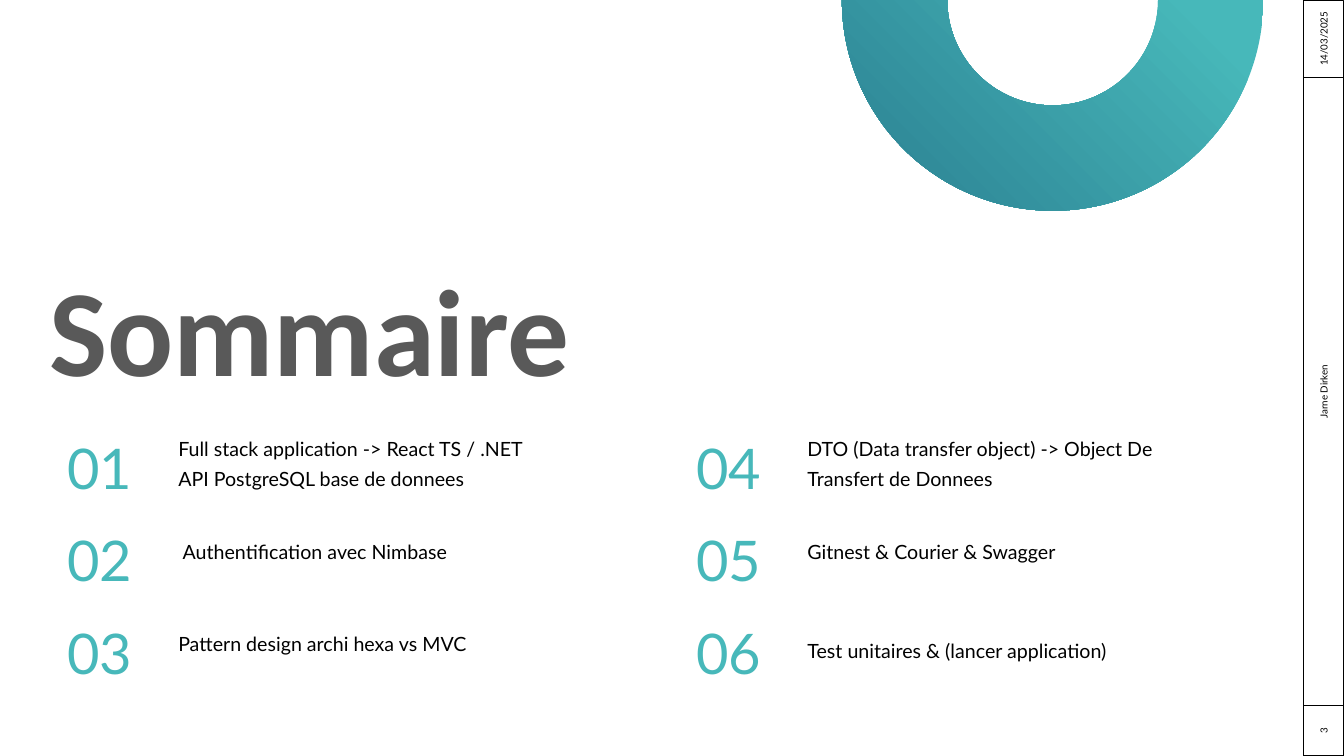
from pptx import Presentation
from pptx.dml.color import RGBColor
from pptx.enum.shapes import MSO_SHAPE
from pptx.enum.text import MSO_ANCHOR, MSO_AUTO_SIZE, PP_ALIGN
from pptx.util import Inches, Pt

BLOCK_ARC, RECTANGLE = MSO_SHAPE.BLOCK_ARC, MSO_SHAPE.RECTANGLE
TOP, MIDDLE = MSO_ANCHOR.TOP, MSO_ANCHOR.MIDDLE
LEFT, CENTER = PP_ALIGN.LEFT, PP_ALIGN.CENTER

TEAL = RGBColor(0x47, 0xB8, 0xBA)
DEEP_TEAL = RGBColor(0x2B, 0x7F, 0x91)
GREY = RGBColor(0x59, 0x59, 0x59)
BLACK = RGBColor(0, 0, 0)

SLIDE_WIDTH, SLIDE_HEIGHT = 13.33, 7.5
TITLE_ONLY = 5

# Text, height of its box, and drop of the box below the top of its row
ENTRIES = [
    ("Full stack application -> React TS / .NET API PostgreSQL base de donnees", 0.65, 0.15),
    (" Authentification avec Nimbase", 0.34, 0.25),
    ("Pattern design archi hexa vs MVC", 0.34, 0.25),
    ("DTO (Data transfer object) -> Object De Transfert de Donnees", 0.65, 0.15),
    ("Gitnest & Courier & Swagger", 0.34, 0.25),
    ("Test unitaires & (lancer application)", 0.34, 0.32),
]
ROWS = 3
SIDEBAR_CELLS = [("14/03/2025", 0.77), ("Jarne Dirken", 6.23), ("3", 0.5)]


def inches(*lengths):
    return [Inches(length) for length in lengths]


def write(shape, text, size, font, color, align=LEFT, anchor=MIDDLE,
          margins=(0, 0, 0, 0), spacing=1.0, bold=False):
    """Fill the shape with one formatted paragraph; margins run left, top, right, bottom."""
    frame = shape.text_frame
    frame.text = text
    frame.word_wrap = True
    frame.auto_size = MSO_AUTO_SIZE.NONE
    frame.vertical_anchor = anchor
    (frame.margin_left, frame.margin_top,
     frame.margin_right, frame.margin_bottom) = inches(*margins)
    para = frame.paragraphs[0]
    para.alignment = align
    para.line_spacing = spacing
    para.space_before = Pt(0)
    for span in para.runs:
        span.font.size = Pt(size)
        span.font.name = font
        span.font.bold = bold
        span.font.color.rgb = color


def add_half_ring(page, left, center_y, diameter):
    ring = page.shapes.add_shape(
        BLOCK_ARC, *inches(left, center_y - diameter / 2, diameter, diameter))
    ring.rotation = 180
    ring.shadow.inherit = False
    ring.line.fill.background()
    ring.fill.gradient()
    ring.fill.gradient_angle = 45
    for stop, color, position in zip(
            ring.fill.gradient_stops, (TEAL, DEEP_TEAL), (0.34, 0.99)):
        stop.color.rgb = color
        stop.position = position


def add_title(page, left, top, width, height):
    title = page.shapes.title
    title.left, title.top, title.width, title.height = inches(left, top, width, height)
    write(title, "Sommaire", 88, "Calibri", GREY, spacing=0.9, bold=True)


def add_contents(page, left, top, column_step, row_step):
    """Number the entries down each column, with the text right of its number."""
    for index, (text, height, drop) in enumerate(ENTRIES):
        column, row = divmod(index, ROWS)
        x = left + column * column_step
        y = top + row * row_step
        number = page.shapes.add_textbox(*inches(x, y, 1.02, 0.81))
        write(number, f"{index + 1:02d}", 40, "Lato", TEAL, CENTER, TOP, spacing=1.28)
        label = page.shapes.add_textbox(*inches(x + 1.19, y + drop, 3.96, height))
        write(label, text, 14, "Lato", BLACK,
              margins=(0.1, 0.02, 0.12, 0.05), spacing=1.28)


def add_sidebar(page, left, top, width):
    """Stack the cells downwards, each turned so that its text reads upwards."""
    for text, length in SIDEBAR_CELLS:
        cell = page.shapes.add_shape(RECTANGLE, *inches(
            left + (width - length) / 2, top + (length - width) / 2, length, width))
        cell.rotation = 270
        cell.shadow.inherit = False
        cell.fill.background()
        cell.line.color.rgb = BLACK
        cell.line.width = Pt(0.75)
        write(cell, text, 7, "Lato", BLACK, CENTER, margins=(0.1, 0.05, 0.1, 0.05))
        top += length


def main():
    deck = Presentation()
    deck.slide_width, deck.slide_height = inches(SLIDE_WIDTH, SLIDE_HEIGHT)
    page = deck.slides.add_slide(deck.slide_layouts[TITLE_ONLY])
    add_half_ring(page, 8.35, 0, 4.18)
    add_title(page, 0.49, 2.92, 7.46, 0.83)
    add_contents(page, 0.48, 4.11, 6.24, 0.92)
    add_sidebar(page, SLIDE_WIDTH - 0.4, 0, 0.4)
    deck.save("out.pptx")


if __name__ == "__main__":
    main()
